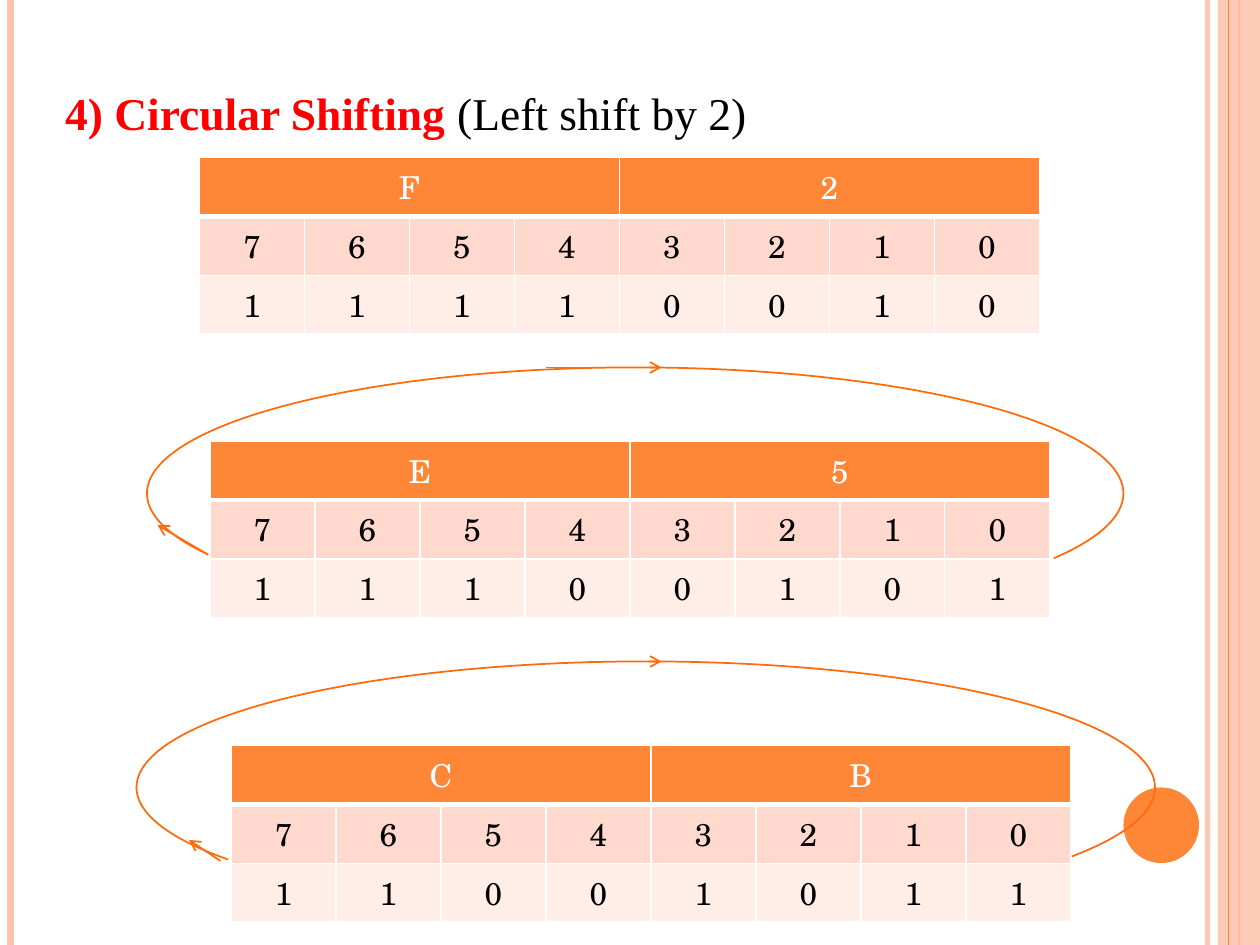
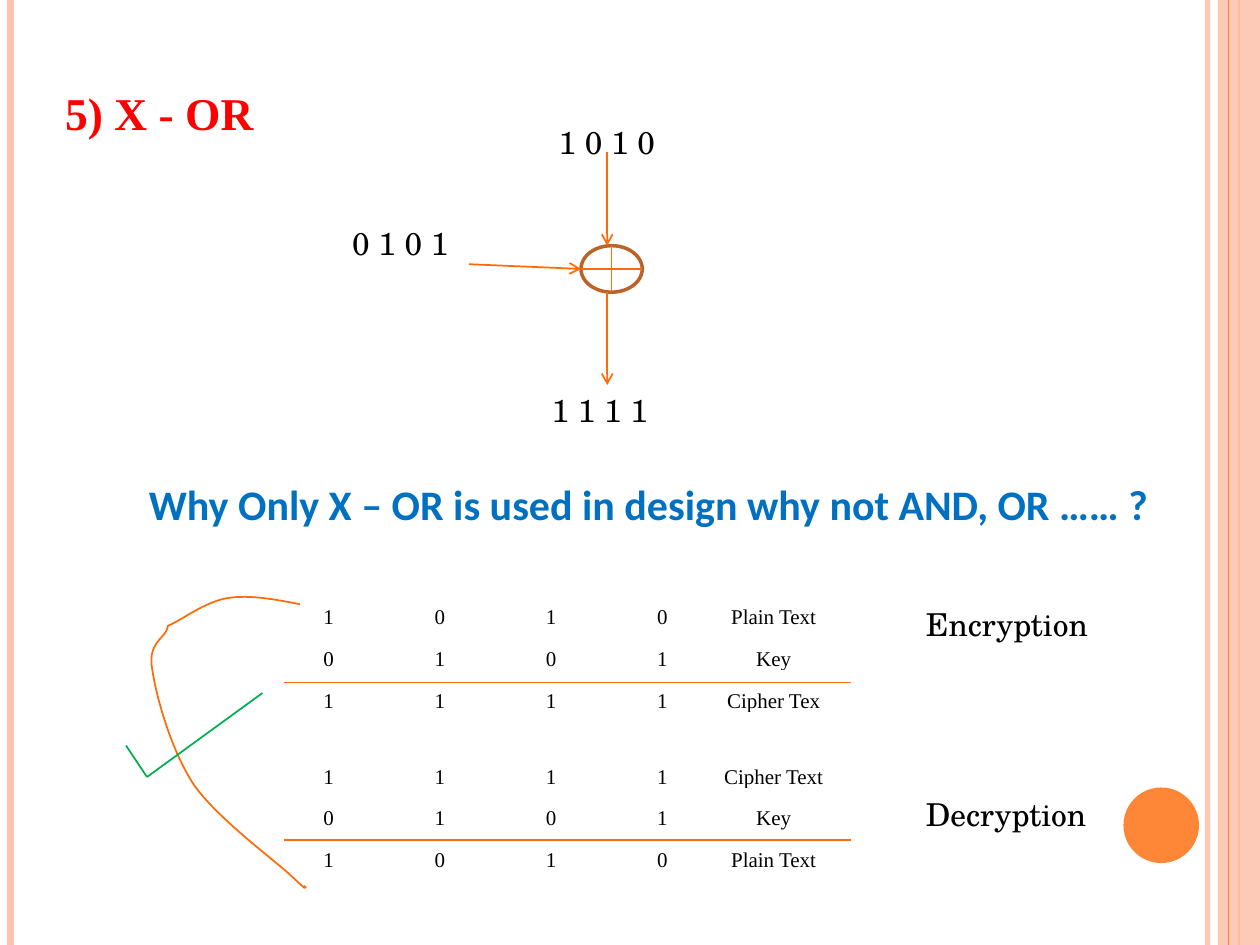
from pptx import Presentation
from pptx.dml.color import RGBColor
from pptx.enum.shapes import MSO_CONNECTOR, MSO_SHAPE
from pptx.enum.text import MSO_ANCHOR, MSO_AUTO_SIZE, PP_ALIGN
from pptx.oxml.ns import qn
from pptx.oxml.xmlchemy import OxmlElement
from pptx.util import Pt

STRAIGHT = MSO_CONNECTOR.STRAIGHT
RECTANGLE, OVAL, ARC = MSO_SHAPE.RECTANGLE, MSO_SHAPE.OVAL, MSO_SHAPE.ARC
TOP, BOTTOM = MSO_ANCHOR.TOP, MSO_ANCHOR.BOTTOM
LEFT, CENTER = PP_ALIGN.LEFT, PP_ALIGN.CENTER
NO_AUTOFIT = MSO_AUTO_SIZE.NONE

COLORS = {
    "peach": "FEC3AE", "orange": "FE8637", "stroke": "FF6B0A", "brown": "BC6329",
    "red": "FF0000", "blue": "0070C0", "green": "00B050", "black": "000000",
    "white": "FFFFFF", "index row": "FFD9CE", "bit row": "FFEDE8",
}
SERIF, SCHOOL, SANS = "Times New Roman", "TeX Gyre Schola", "Calibri"
PAGE_WIDTH, PAGE_HEIGHT = 720, 540

# Side bands: x, width, colour, opacity in percent
BAND_LINES = [(690, 3, "peach", 93), (6, 4.5, "peach", 100),
              (708, 1.5, "orange", 100), (702, 0.75, "orange", 100)]

# Slide 1: each byte is the one above rotated left by one bit
SHIFT_TITLE = [("4) Circular Shifting ", "red", True), ("(Left shift by 2)", "black", False)]
BYTES = [("F2", 114, 90), ("E5", 120, 252), ("CB", 132, 426)]
# Arc left, top, width, height, its two adjustments, and the arrows along it
LOOPS = [
    ((84, 210, 558, 144), (103.13, 5.29), [(312, 210, 378, 210), (119, 317, 90, 300)]),
    ((78, 378, 582, 144), (102.12, 5.52), [(336, 378, 378, 378), (126, 492, 108, 480)]),
]

# Slide 2
XOR_TITLE = [("5) X - OR", "red", True)]
QUESTION = "Why Only X – OR is used in design why not AND, OR …… ?"
OPERANDS = [("1 0 1 0", 292, 66.5), ("0 1 0 1", 174, 124.5), ("1 1 1 1", 288, 220)]
GATE = (332, 140.4, 35, 26.6)
GATE_ARROWS = [(347, 87, 347, 140.4), (268, 151, 332, 153.7), (347, 167, 347, 220)]
PROOFS = [
    {"name": "Encryption", "top": 336, "rule": 390, "name top": 342,
     "rows": [("1010", "Plain Text"), ("0101", "Key"), ("1111", "Cipher Tex")]},
    {"name": "Decryption", "top": 427, "rule": 479.8, "name top": 450.5,
     "rows": [("1111", "Cipher Text"), ("0101", "Key"), ("1010", "Plain Text")]},
]
# Start point, then three points for each curve
RETURN_CURVE = [
    (171.4, 345.3),
    (157, 342.5), (142.6, 339.8), (130.3, 341.8), (118.8, 343.4), (105.8, 352.8), (100, 355.7),
    (93.6, 359.3), (97.2, 355.7), (95, 360.7), (92.9, 365), (84.2, 368.6), (87.1, 383),
    (89.3, 398.2), (97.9, 429.1), (110.9, 448.6), (124.6, 468), (156.2, 491), (166.3, 500.4),
    (177.1, 510.5), (173.5, 506.9), (174.2, 506.9), (175.7, 507.6), (174.2, 506.9), (173.5, 506.2),
]
CHECK_MARK = [(72, 426), (84, 444), (150, 396)]


def rgb(name):
    return RGBColor.from_string(COLORS[name])


def set_opacity(element, percent):
    for color in element.iter(qn("a:srgbClr")):
        alpha = OxmlElement("a:alpha")
        alpha.set("val", str(percent * 1000))
        color.append(alpha)


def add_line(slide, ends, color="stroke", width=1, arrow=False, opacity=100):
    connector = slide.shapes.add_connector(STRAIGHT, *map(Pt, ends))
    connector.line.color.rgb = rgb(color)
    connector.line.width = Pt(width)
    properties = connector._element.spPr
    if opacity < 100:
        set_opacity(properties, opacity)
    if arrow:
        head = OxmlElement("a:tailEnd")
        head.set("type", "arrow")
        properties.find(qn("a:ln")).append(head)
    properties.append(OxmlElement("a:effectLst"))


def style_shape(shape, fill=None, line=None, width=1):
    shape.shadow.inherit = False
    if fill:
        shape.fill.solid()
        shape.fill.fore_color.rgb = rgb(fill)
    else:
        shape.fill.background()
    if line:
        shape.line.color.rgb = rgb(line)
        shape.line.width = Pt(width)
    else:
        shape.line.fill.background()


def add_figure(slide, kind, place, **style):
    shape = slide.shapes.add_shape(kind, *map(Pt, place))
    style_shape(shape, **style)
    return shape


def set_font(font, name, size, color, bold=False):
    font.name, font.size, font.bold = name, Pt(size), bold
    font.color.rgb = rgb(color)


def add_text(slide, text, place, name=SCHOOL, size=18, color="black", bold=False, indent=0):
    box = slide.shapes.add_textbox(*map(Pt, place))
    frame = box.text_frame
    frame.word_wrap = True
    frame.margin_left = Pt(7.2 + indent)
    para = frame.paragraphs[0]
    para.text = text
    set_font(para.font, name, size, color, bold)


def add_page(deck, title_runs):
    slide = deck.slides.add_slide(deck.slide_layouts[5])
    # Bands and disc
    for x, width, color, opacity in BAND_LINES[:3]:
        add_line(slide, (x, 0, x, PAGE_HEIGHT), color, width, opacity=opacity)
    band = add_figure(slide, RECTANGLE, (696, 0, 24, PAGE_HEIGHT), fill="peach")
    set_opacity(band._element.spPr, 87)
    x, width, color, opacity = BAND_LINES[3]
    add_line(slide, (x, 0, x, PAGE_HEIGHT), color, width, opacity=opacity)
    add_figure(slide, OVAL, (642, 450, 43.2, 43.2), fill="orange")
    # Title
    title = slide.shapes.title
    title.left, title.top, title.width, title.height = map(Pt, (30, 45, 450, 39))
    frame = title.text_frame
    frame.auto_size, frame.vertical_anchor = NO_AUTOFIT, TOP
    para = frame.paragraphs[0]
    para.alignment = LEFT
    for text, color, bold in title_runs:
        span = para.add_run()
        span.text = text
        set_font(span.font, SERIF, 26, color, bold)
    return slide


def add_grid(slide, left, top, column_width, row_height, row_count, column_count):
    frame = slide.shapes.add_table(row_count, column_count, Pt(left), Pt(top),
                                   Pt(column_width * column_count), Pt(row_height * row_count))
    table = frame.table
    table.first_row = table.horz_banding = False
    for row in table.rows:
        row.height = Pt(row_height)
    return table


def fill_cell(cell, text, name, size, color):
    para = cell.text_frame.paragraphs[0]
    para.text = text
    para.alignment = CENTER
    set_font(para.font, name, size, color)


def add_borders(cell, bottom):
    properties = cell._tc.get_or_add_tcPr()
    for side, width in (("L", 1), ("R", 1), ("T", 1), ("B", bottom)):
        border = OxmlElement(f"a:ln{side}")
        border.set("w", str(Pt(width)))
        fill = OxmlElement("a:solidFill")
        color = OxmlElement("a:srgbClr")
        color.set("val", COLORS["white"])
        fill.append(color)
        border.append(fill)
        properties.append(border)


def add_byte_table(slide, digits, left, top):
    table = add_grid(slide, left, top, 60, 29.2, 3, 8)
    header = [digits[0], "", "", "", digits[1], "", "", ""]
    bits = f"{int(digits, 16):08b}"
    looks = [(header, "orange", "white", 3), ("76543210", "index row", "black", 1),
             (bits, "bit row", "black", 1)]
    for row, (texts, fill, color, bottom) in enumerate(looks):
        for column, text in enumerate(texts):
            cell = table.cell(row, column)
            fill_cell(cell, text, SCHOOL, 18, color)
            add_borders(cell, bottom)
            cell.fill.solid()
            cell.fill.fore_color.rgb = rgb(fill)
    for first in (0, 4):
        table.cell(0, first).merge(table.cell(0, first + 3))


def add_proof(slide, proof):
    table = add_grid(slide, 156, proof["top"], 63.6, 23.8, 3, 5)
    for row, (bits, label) in enumerate(proof["rows"]):
        for column, text in enumerate([*bits, label]):
            cell = table.cell(row, column)
            fill_cell(cell, text, SERIF, 12, "black")
            cell.fill.background()
            cell.vertical_anchor = BOTTOM
            cell.margin_left = cell.margin_right = cell.margin_top = Pt(0.72)
            cell.margin_bottom = 0
    add_line(slide, (162, proof["rule"], 486, proof["rule"]))
    add_text(slide, proof["name"], (522, proof["name top"], 138, 29))


def add_curve(slide, points):
    start, *rest = [(Pt(x), Pt(y)) for x, y in points]
    builder = slide.shapes.build_freeform(*start)
    builder.add_line_segments(rest, close=False)
    shape = builder.convert_to_shape()
    style_shape(shape, line="stroke")
    # Turn each three straight segments into one cubic curve
    segments = list(shape._element.iter(qn("a:lnTo")))
    for index in range(0, len(segments), 3):
        curve = OxmlElement("a:cubicBezTo")
        segments[index].addprevious(curve)
        for segment in segments[index:index + 3]:
            curve.append(segment[0])
            segment.getparent().remove(segment)


def build_shift_page(deck):
    slide = add_page(deck, SHIFT_TITLE)
    for digits, left, top in BYTES:
        add_byte_table(slide, digits, left, top)
    for place, angles, arrows in LOOPS:
        arc = add_figure(slide, ARC, place, line="stroke")
        arc.adjustments[0], arc.adjustments[1] = angles
        for ends in arrows:
            add_line(slide, ends, arrow=True)


def build_xor_page(deck):
    slide = add_page(deck, XOR_TITLE)
    # Gate with its inputs and output
    left, top, width, height = GATE
    middle_x, middle_y = left + width / 2, top + height / 2
    add_figure(slide, OVAL, GATE, line="brown", width=2)
    for ends in GATE_ARROWS:
        add_line(slide, ends, arrow=True)
    add_line(slide, (left, middle_y, left + width, middle_y))
    add_line(slide, (middle_x, top, middle_x, top + height))
    for text, x, y in OPERANDS:
        add_text(slide, text, (x, y, 133, 26), indent=20)
    add_text(slide, QUESTION, (78, 270, 606, 36), SANS, 24, "blue", True)
    # Encryption and decryption
    for proof in PROOFS:
        add_proof(slide, proof)
    add_curve(slide, RETURN_CURVE)
    for start, end in zip(CHECK_MARK, CHECK_MARK[1:]):
        add_line(slide, (*start, *end), "green")


def main():
    deck = Presentation()
    deck.slide_width, deck.slide_height = Pt(PAGE_WIDTH), Pt(PAGE_HEIGHT)
    build_shift_page(deck)
    build_xor_page(deck)
    deck.save("out.pptx")


if __name__ == "__main__":
    main()
